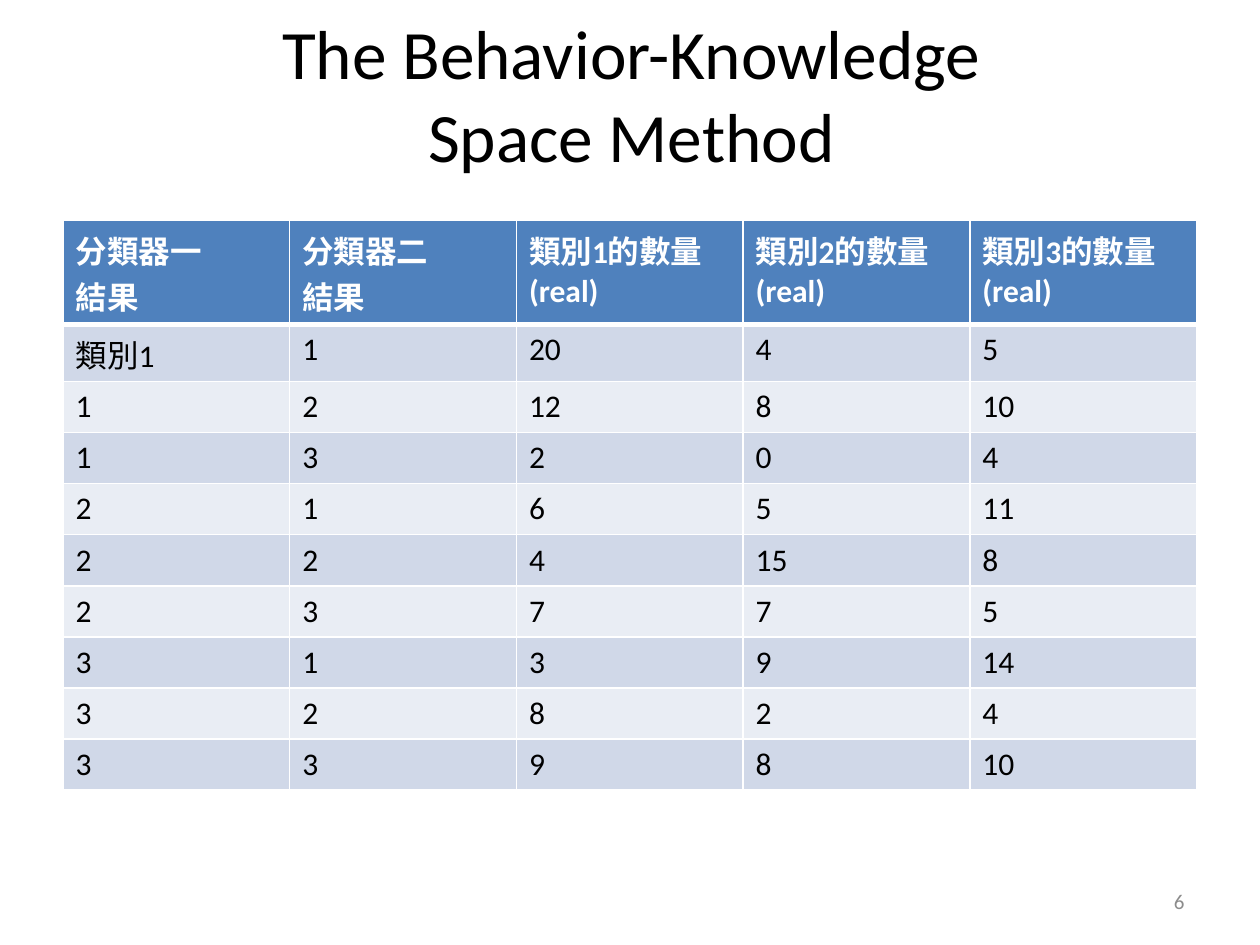
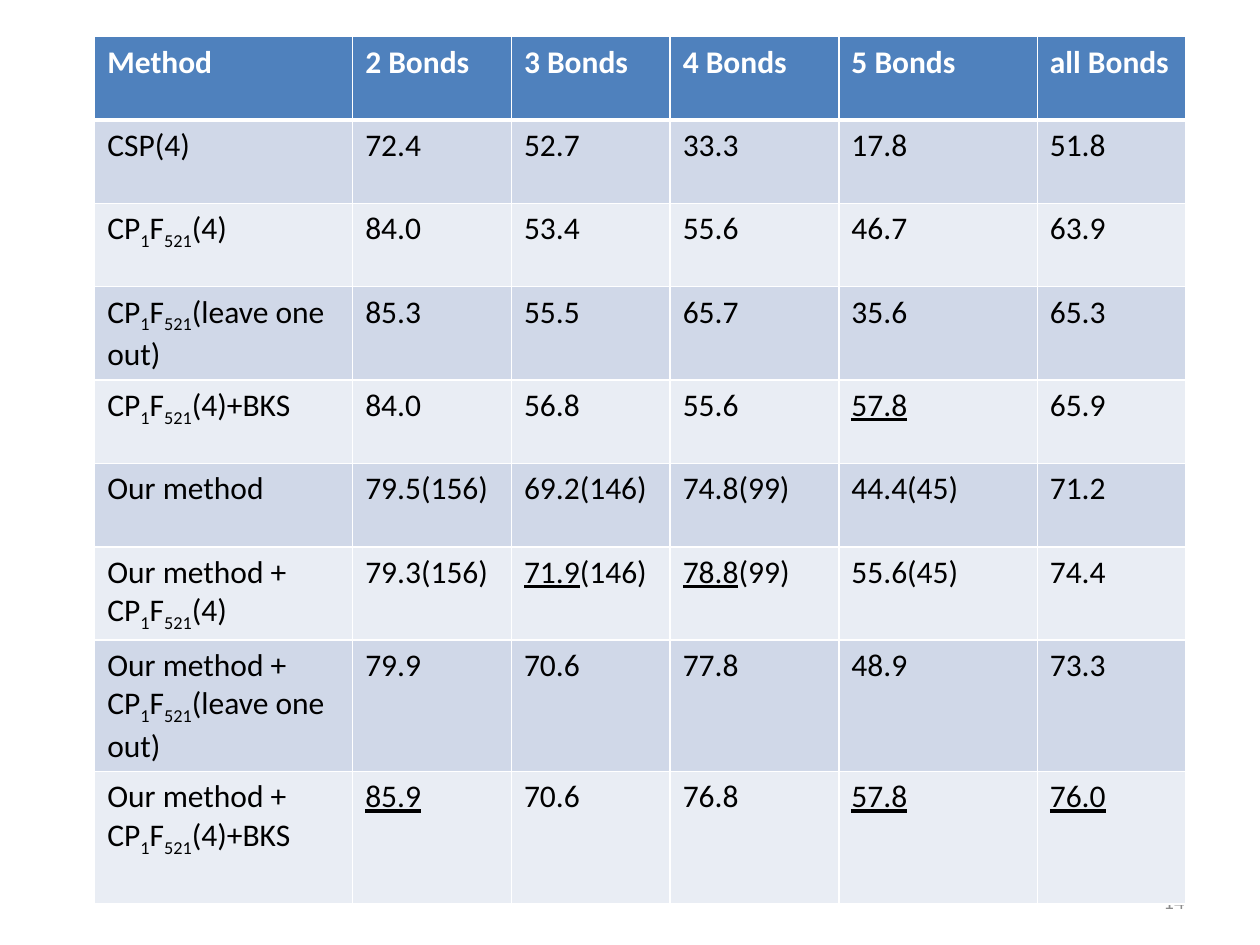
import pptx
import pptx.dml.color
import pptx.enum.text
import pptx.oxml.ns
import pptx.util
from lxml import etree
from pptx.util import Cm

COLORS = {
    "header": "4F81BD",
    "odd_row": "D0D8E8",
    "even_row": "E9EDF4",
    "border": "FFFFFF",
    "header_text": "FFFFFF",
    "text": "000000",
    "page_number": "8C8C8C",
}
FONT = "Calibri"
THIN, THICK = 1, 3  # cell borders in points

# Number of real samples per class for each pair of classifier results
BKS_ROWS = [
    ["分類器一\n結果", "分類器二\n結果", "類別1的數量(real)",
     "類別2的數量\n(real)", "類別3的數量\n(real)"],
    ["類別1", "1", "20", "4", "5"],
    ["1", "2", "12", "8", "10"],
    ["1", "3", "2", "0", "4"],
    ["2", "1", "6", "5", "11"],
    ["2", "2", "4", "15", "8"],
    ["2", "3", "7", "7", "5"],
    ["3", "1", "3", "9", "14"],
    ["3", "2", "8", "2", "4"],
    ["3", "3", "9", "8", "10"],
]

# Accuracy by method: ~subscript~ and _underline_ mark parts of a cell
CP_FORMULA = "CP~1~F~521~"
METHOD_ROWS = [
    ["Method", "2 Bonds", "3 Bonds", "4 Bonds", "5 Bonds", "all Bonds"],
    ["CSP(4)", "72.4", "52.7", "33.3", "17.8", "51.8"],
    [f"{CP_FORMULA}(4)", "84.0", "53.4", "55.6", "46.7", "63.9"],
    [f"{CP_FORMULA}(leave one out)", "85.3", "55.5", "65.7", "35.6", "65.3"],
    [f"{CP_FORMULA}(4)+BKS", "84.0", "56.8", "55.6", "_57.8_", "65.9"],
    ["Our method", "79.5(156)", "69.2(146)", "74.8(99)", "44.4(45)", "71.2"],
    [f"Our method + {CP_FORMULA}(4)",
     "79.3(156)", "_71.9_(146)", "_78.8_(99)", "55.6(45)", "74.4"],
    [f"Our method + {CP_FORMULA}(leave one out)",
     "79.9", "70.6", "77.8", "48.9", "73.3"],
    [f"Our method + {CP_FORMULA}(4)+BKS",
     "_85.9_", "70.6", "76.8", "_57.8_", "_76.0_"],
]


def format_font(font, size, color, bold=False):
    font.name = FONT
    font.size = pptx.util.Pt(size)
    font.bold = bold
    font.color.rgb = pptx.dml.color.RGBColor.from_string(COLORS[color])


def add_text(slide, box, text, size, color, alignment):
    shape = slide.shapes.add_textbox(*(Cm(length) for length in box))
    text_frame = shape.text_frame
    text_frame.word_wrap = True
    text_frame.vertical_anchor = pptx.enum.text.MSO_ANCHOR.MIDDLE
    text_frame.text = text
    paragraph = text_frame.paragraphs[0]
    paragraph.alignment = alignment
    for run in paragraph.runs:
        format_font(run.font, size, color)
    return shape


def add_title(slide, text):
    shape = add_text(slide, (1.3, 1.12, 22.86, 3.18), text, 39.6, "text",
                     pptx.enum.text.PP_ALIGN.CENTER)
    shape.text_frame.margin_bottom = Cm(1.8)  # lifts the title off the table


def add_page_number(slide, number):
    add_text(slide, (18.21, 17.65, 5.92, 1.02), str(number), 12,
             "page_number", pptx.enum.text.PP_ALIGN.RIGHT)


def fill_paragraph(paragraph, markup, color, bold):
    for i, level in enumerate(markup.split("~")):
        for j, text in enumerate(level.split("_")):
            if not text:
                continue
            run = paragraph.add_run()
            run.text = text
            format_font(run.font, 18, color, bold)
            if i % 2:
                run.font._element.set("baseline", "-25000")
            if j % 2:
                run.font.underline = True


def set_borders(cell, top, bottom):
    properties = cell._tc.get_or_add_tcPr()
    qn = pptx.oxml.ns.qn
    sides = (("a:lnL", THIN), ("a:lnR", THIN), ("a:lnT", top), ("a:lnB", bottom))
    for position, (side, width) in enumerate(sides):
        line = etree.Element(qn(side), w=str(pptx.util.Pt(width)))
        fill = etree.SubElement(line, qn("a:solidFill"))
        etree.SubElement(fill, qn("a:srgbClr"), val=COLORS["border"])
        properties.insert(position, line)


def fill_cell(cell, markup, row_index):
    is_header = row_index == 0
    if is_header:
        fill = "header"
    else:
        fill = "odd_row" if row_index % 2 else "even_row"
    cell.fill.solid()
    cell.fill.fore_color.rgb = pptx.dml.color.RGBColor.from_string(COLORS[fill])
    set_borders(cell, top=THICK if row_index == 1 else THIN,
                bottom=THICK if is_header else THIN)
    text_frame = cell.text_frame
    for i, line in enumerate(markup.split("\n")):
        paragraph = text_frame.add_paragraph() if i else text_frame.paragraphs[0]
        fill_paragraph(paragraph, line,
                       "header_text" if is_header else "text", is_header)


def add_banded_table(slide, left, top, widths, heights, rows):
    frame = slide.shapes.add_table(len(rows), len(widths), Cm(left), Cm(top),
                                   Cm(sum(widths)), Cm(sum(heights)))
    table = frame.table
    for column, width in zip(table.columns, widths):
        column.width = Cm(width)
    for row_index, (row, height, values) in enumerate(
            zip(table.rows, heights, rows)):
        row.height = Cm(height)
        for cell, value in zip(row.cells, values):
            fill_cell(cell, value, row_index)


def main():
    presentation = pptx.Presentation()
    presentation.slide_width = Cm(25.4)
    presentation.slide_height = Cm(19.05)
    blank_layout = presentation.slide_layouts[6]

    # Behavior-knowledge space counts; rows with Chinese text are taller
    slide = presentation.slides.add_slide(blank_layout)
    add_title(slide, "The Behavior-Knowledge\vSpace Method")
    add_banded_table(slide, 1.27, 4.45, [4.57] * 5,
                     [2.09, 1.15] + [1.03] * (len(BKS_ROWS) - 2), BKS_ROWS)
    add_page_number(slide, 6)

    # Comparison of methods; the table partly covers the page number
    slide = presentation.slides.add_slide(blank_layout)
    add_page_number(slide, 14)
    add_banded_table(slide, 1.91, 0.74, [5.2, 3.2, 3.2, 3.4, 4, 3],
                     [1.68] * (len(METHOD_ROWS) - 1) + [2.67], METHOD_ROWS)

    presentation.save("out.pptx")


if __name__ == "__main__":
    main()
